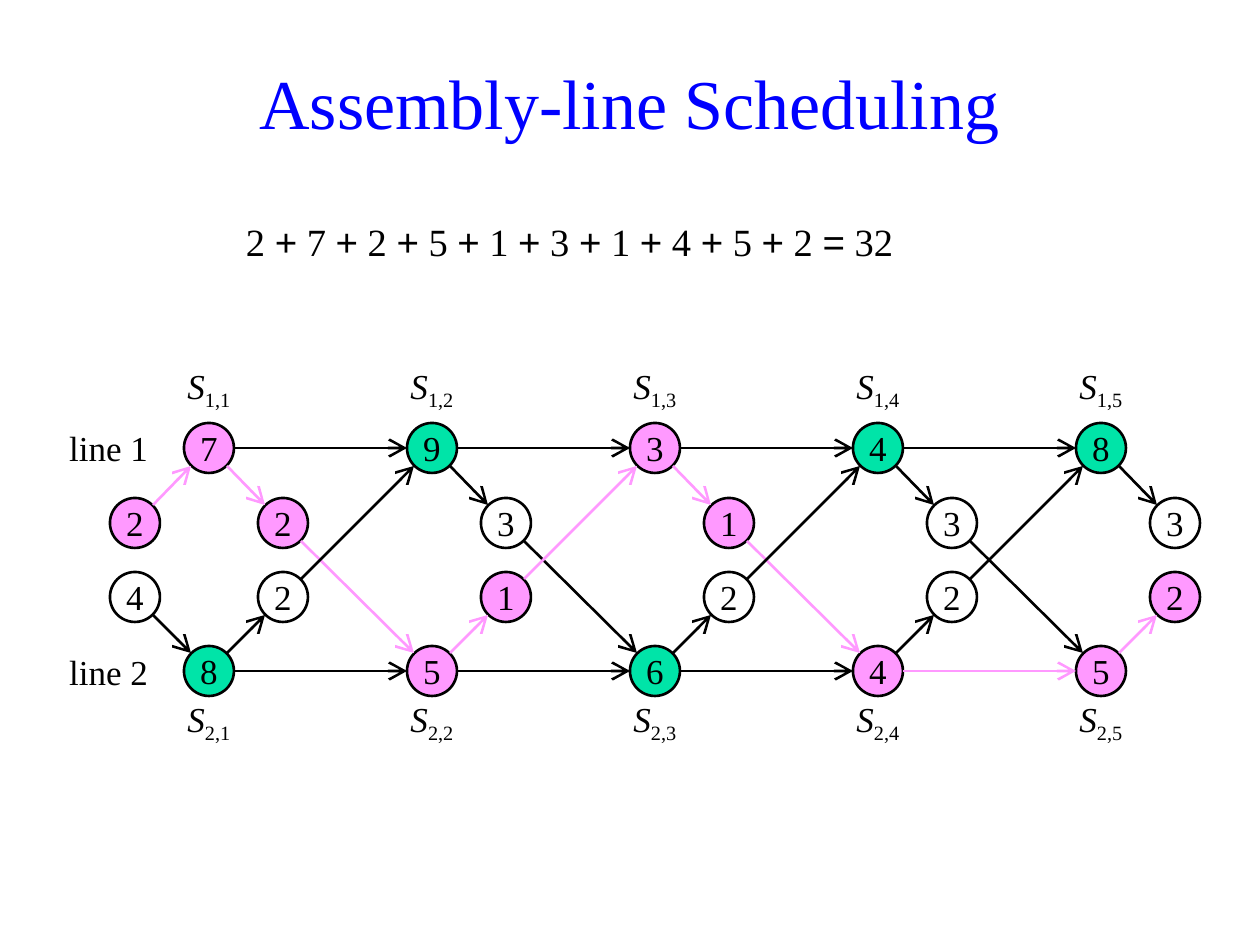
"""Build the assembly-line scheduling slide with its fastest route highlighted."""
import dataclasses
import itertools

import pptx
import pptx.dml.color
import pptx.enum.shapes
import pptx.enum.text
import pptx.oxml.ns
import pptx.slide
import pptx.text.text
import pptx.util
from lxml import etree

EMU_PER_PX = 914400 / 126
COLORS = {"title": "0000FF", "ink": "000000", "route": "FF99FF", "station": "00E4A8"}
SERIF, SANS = "Times New Roman", "Arial"
ALIGN = pptx.enum.text.PP_ALIGN
ANCHOR = pptx.enum.text.MSO_ANCHOR
DIAMETER, RADIUS, DIAGONAL = 50, 25, 18
FIRST_STATION, STAGE_STEP, HANDOVER_STEP = 184, 223, 74
FASTEST_ROUTE = (1, 2, 1, 2, 2)
EQUATION = "2 + 7 + 2 + 5 + 1 + 3 + 1 + 4 + 5 + 2 = 32"


@dataclasses.dataclass(frozen=True)
class AssemblyLine:
    number: int
    station_top: int
    handover_top: int
    label_top: int
    label_insets: tuple[int, int, int, int]
    entry: int
    stations: tuple[int, ...]
    handovers: tuple[int, ...]


@dataclasses.dataclass(frozen=True)
class Node:
    left: int
    top: int
    time: int
    on_route: bool
    is_station: bool = False


LINES = (
    AssemblyLine(1, 423, 498, 373, (0, 0, 0, 20), 2, (7, 9, 3, 4, 8), (2, 3, 1, 3, 3)),
    AssemblyLine(2, 646, 572, 696, (0, 0, 0, 0), 4, (8, 5, 6, 4, 5), (2, 1, 2, 2, 2)),
)


def px(length: int) -> pptx.util.Emu:
    return pptx.util.Emu(round(length * EMU_PER_PX))


def rgb(name: str) -> pptx.dml.color.RGBColor:
    return pptx.dml.color.RGBColor.from_string(COLORS[name])


def add_run(paragraph, text: str, size: int = 20, face: str = SERIF,
            color: str = "ink", italic: bool = False) -> pptx.text.text._Run:
    run = paragraph.add_run()
    run.text = text
    run.font.size = pptx.util.Pt(size)
    run.font.name = face
    run.font.italic = italic
    run.font.color.rgb = rgb(color)
    return run


def set_frame(frame: pptx.text.text.TextFrame, insets: tuple[int, int, int, int],
              anchor=ANCHOR.MIDDLE, wrap: bool = False) -> None:
    frame.margin_left, frame.margin_top, frame.margin_right, frame.margin_bottom = map(px, insets)
    frame.vertical_anchor = anchor
    frame.word_wrap = wrap


def add_text(slide: pptx.slide.Slide, box: tuple[int, int, int, int],
             insets: tuple[int, int, int, int], align=ALIGN.LEFT,
             anchor=ANCHOR.MIDDLE, wrap: bool = False):
    frame = slide.shapes.add_textbox(*map(px, box)).text_frame
    set_frame(frame, insets, anchor, wrap)
    frame.paragraphs[0].alignment = align
    return frame.paragraphs[0]


def draw_node(slide: pptx.slide.Slide, node: Node) -> None:
    circle = slide.shapes.add_shape(pptx.enum.shapes.MSO_SHAPE.OVAL, px(node.left),
                                    px(node.top), px(DIAMETER), px(DIAMETER))
    circle.shadow.inherit = False
    if node.on_route or node.is_station:
        circle.fill.solid()
        circle.fill.fore_color.rgb = rgb("route" if node.on_route else "station")
    else:
        circle.fill.background()
    circle.line.color.rgb = rgb("ink")
    circle.line.width = pptx.util.Pt(1.5)
    set_frame(circle.text_frame, (0, 0, 0, 0))
    paragraph = circle.text_frame.paragraphs[0]
    paragraph.alignment = ALIGN.CENTER
    add_run(paragraph, str(node.time))


def draw_arrow(slide: pptx.slide.Slide, start: Node, end: Node) -> None:
    rise = (end.top > start.top) - (end.top < start.top)
    across = DIAGONAL if rise else RADIUS
    down = DIAGONAL * rise
    arrow = slide.shapes.add_connector(
        pptx.enum.shapes.MSO_CONNECTOR.STRAIGHT,
        px(start.left + RADIUS + across), px(start.top + RADIUS + down),
        px(end.left + RADIUS - across), px(end.top + RADIUS - down))
    arrow.line.color.rgb = rgb("route" if start.on_route and end.on_route else "ink")
    arrow.line.width = pptx.util.Pt(1.5)
    qn = pptx.oxml.ns.qn
    etree.SubElement(arrow.line._get_or_add_ln(), qn("a:tailEnd"),
                     type="arrow", w="lg", len="lg")
    etree.SubElement(arrow._element.spPr, qn("a:effectLst"))


def line_nodes(line: AssemblyLine) -> tuple[Node, list[Node], list[Node]]:
    lefts = [FIRST_STATION + STAGE_STEP * stage for stage in range(len(FASTEST_ROUTE))]
    used = [number == line.number for number in FASTEST_ROUTE]
    leaves = [here and not after for here, after in zip(used, used[1:] + [False])]
    entry = Node(lefts[0] - HANDOVER_STEP, line.handover_top, line.entry, used[0])
    stations = [Node(left, line.station_top, time, on_route, True)
                for left, time, on_route in zip(lefts, line.stations, used)]
    handovers = [Node(left + HANDOVER_STEP, line.handover_top, time, on_route)
                 for left, time, on_route in zip(lefts, line.handovers, leaves)]
    return entry, stations, handovers


def draw_labels(slide: pptx.slide.Slide, line: AssemblyLine, stations: list[Node]) -> None:
    heading = add_text(slide, (48, line.station_top, 100, DIAMETER), (0, 0, 0, 0), ALIGN.RIGHT)
    add_run(heading, f"line {line.number}")
    for stage, station in enumerate(stations, 1):
        label = add_text(slide, (station.left, line.label_top, DIAMETER, DIAMETER),
                         line.label_insets, ALIGN.CENTER)
        add_run(label, "S", italic=True)
        subscript = add_run(label, f"{line.number},{stage}")
        subscript._r.get_or_add_rPr().set("baseline", "-25000")


def draw_network(slide: pptx.slide.Slide) -> None:
    networks = [line_nodes(line) for line in LINES]
    for line, (entry, stations, handovers) in zip(LINES, networks):
        draw_labels(slide, line, stations)
        for node in (entry, *stations, *handovers):
            draw_node(slide, node)
    for (entry, stations, handovers), (_, other_stations, _) in zip(networks, networks[::-1]):
        routes = itertools.chain([(entry, stations[0])], zip(stations, stations[1:]),
                                 zip(stations, handovers), zip(handovers, other_stations[1:]))
        for start, end in routes:
            draw_arrow(slide, start, end)


def draw_title(slide: pptx.slide.Slide) -> None:
    title = slide.shapes.title
    title.left, title.top, title.width, title.height = map(px, (84, 27, 1091, 123))
    set_frame(title.text_frame, (13, 6, 13, 6), ANCHOR.BOTTOM, wrap=True)
    title.text_frame.auto_size = pptx.enum.text.MSO_AUTO_SIZE.NONE
    paragraph = title.text_frame.paragraphs[0]
    paragraph.alignment = ALIGN.CENTER
    add_run(paragraph, "Assembly-line Scheduling", 40, color="title")


def draw_equation(slide: pptx.slide.Slide) -> None:
    equation = add_text(slide, (233, 212, 794, 62), (13, 6, 13, 6), anchor=ANCHOR.TOP, wrap=True)
    for is_operator, symbols in itertools.groupby(EQUATION, lambda symbol: symbol in "+="):
        add_run(equation, "".join(symbols), 22, SANS if is_operator else SERIF)


def main() -> None:
    deck = pptx.Presentation()
    deck.slide_width, deck.slide_height = px(1260), px(945)
    slide = deck.slides.add_slide(deck.slide_layouts[5])
    draw_title(slide)
    draw_equation(slide)
    draw_network(slide)
    deck.save("out.pptx")


if __name__ == "__main__":
    main()
